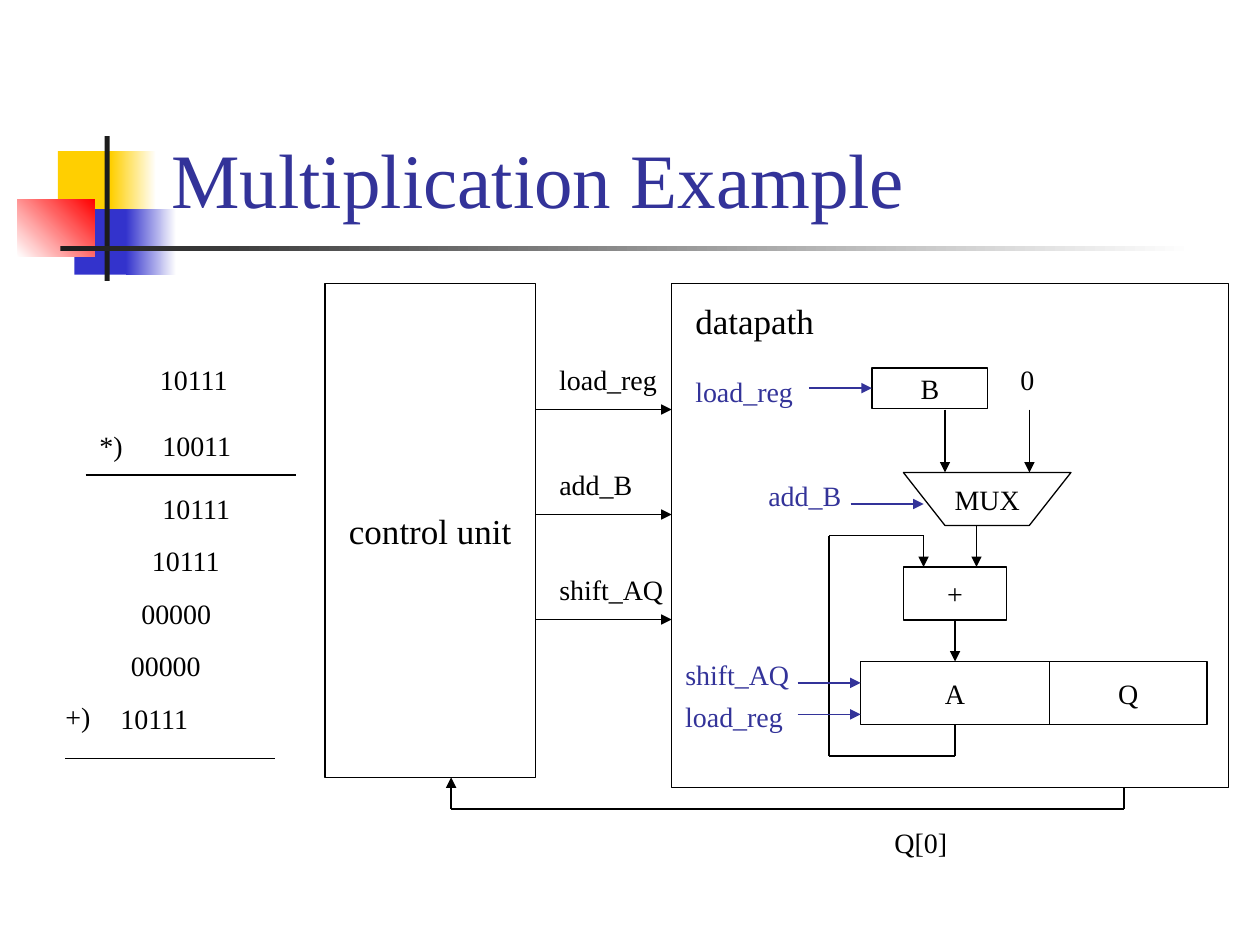
from itertools import pairwise
from pptx import Presentation
from pptx.dml.color import RGBColor
from pptx.enum.shapes import MSO_CONNECTOR as CONNECTOR, MSO_SHAPE as SHAPE
from pptx.enum.text import MSO_ANCHOR as ANCHOR, MSO_AUTO_SIZE as AUTO_SIZE, PP_ALIGN as ALIGN
from pptx.oxml.ns import qn
from pptx.util import Inches, Pt
from lxml import etree

THEME = {
    "font": "Times New Roman",
    "title_size": Pt(44), "block_size": Pt(20), "label_size": Pt(16),
    "line_width": Pt(0.75),
    "black": RGBColor.from_string("000000"),
    "signal": RGBColor.from_string("333399"),
    "yellow": RGBColor.from_string("FFCF01"),
    "blue": RGBColor.from_string("3333CC"),
    "red": RGBColor.from_string("FF0000"),
    "dark": RGBColor.from_string("1C1C1C"),
    "white": RGBColor.from_string("FFFFFF"),
}
TITLE_FORMAT = {"vertical_anchor": ANCHOR.BOTTOM, "word_wrap": True, "auto_size": AUTO_SIZE.NONE}
BLOCK_FORMAT = {"vertical_anchor": ANCHOR.MIDDLE, "word_wrap": False}
LABEL_FORMAT = {"vertical_anchor": ANCHOR.TOP, "word_wrap": False,
                "auto_size": AUTO_SIZE.NONE, "margin_right": 0}


def write_text(shape, text, frame_format, align, size, color):
    frame = shape.text_frame
    for name, value in frame_format.items():
        setattr(frame, name, value)
    paragraph = frame.paragraphs[0]
    paragraph.alignment = align
    run = paragraph.add_run()
    run.text = text
    font = run.font
    font.name, font.size, font.color.rgb = THEME["font"], THEME[size], THEME[color]


def draw_wire(points, color="black", arrow=True, start=None, finish=None):
    """Draw straight segments; start and finish are (shape, site) joints."""
    connectors = []
    for begin, end in pairwise(points):
        connector = slide.shapes.add_connector(
            CONNECTOR.STRAIGHT, *(Inches(value) for value in begin + end))
        connector.line.width = THEME["line_width"]
        connector.line.color.rgb = THEME[color]
        etree.SubElement(connector._element.spPr, qn("a:effectLst"))
        connectors.append(connector)
    if arrow:
        line = connectors[-1].line._get_or_add_ln()
        etree.SubElement(line, qn("a:tailEnd"), type="triangle")
    if start:
        connectors[0].begin_connect(*start)
    if finish:
        connectors[-1].end_connect(*finish)


presentation = Presentation()
presentation.slide_width, presentation.slide_height = Inches(10), Inches(7.5)
slide = presentation.slides.add_slide(presentation.slide_layouts[5])

# Corner decoration: one colour is solid, two make a gradient
for box, colors, angle in [
    ((0.46, 1.2, 0.48, 0.52), ["yellow"], 0),
    ((0.88, 1.2, 0.36, 0.52), ["yellow", "white"], 0),
    ((0.59, 1.66, 0.46, 0.52), ["blue"], 0),
    ((1, 1.66, 0.4, 0.52), ["blue", "white"], 0),
    ((0.14, 1.58, 0.61, 0.46), ["white", "red"], 45),
    ((0.83, 1.08, 0.04, 1.15), ["dark"], 0),
    ((0.48, 1.95, 9, 0.04), ["dark", "white"], 0),
]:
    shape = slide.shapes.add_shape(SHAPE.RECTANGLE, *map(Inches, box))
    shape.shadow.inherit = False
    shape.line.fill.background()
    if len(colors) == 1:
        shape.fill.solid()
        shape.fill.fore_color.rgb = THEME[colors[0]]
    else:
        shape.fill.gradient()
        shape.fill.gradient_angle = angle
        for stop, color in zip(shape.fill.gradient_stops, colors):
            stop.color.rgb = THEME[color]

# Title
title = slide.shapes.title
title.left, title.top, title.width, title.height = map(Inches, (1.26, 0.23, 8.52, 1.6))
write_text(title, "Multiplication Example", TITLE_FORMAT, ALIGN.LEFT, "title_size", "signal")

# Blocks of the control unit and the datapath
blocks = {}
for name, box, size in [
    ("datapath", (5.33, 2.25, 4.42, 4), None),
    ("control unit", (2.58, 2.25, 1.67, 3.92), "block_size"),
    ("A", (6.83, 5.25, 1.5, 0.5), "label_size"),
    ("Q", (8.33, 5.25, 1.25, 0.5), "label_size"),
    ("+", (7.17, 4.5, 0.82, 0.42), "label_size"),
    ("B", (6.92, 2.92, 0.92, 0.32), "label_size"),
]:
    blocks[name] = slide.shapes.add_shape(SHAPE.RECTANGLE, *map(Inches, box))
    if size:
        write_text(blocks[name], name, BLOCK_FORMAT, ALIGN.CENTER, size, "black")

# Multiplexer
corners = [(Inches(x), Inches(y)) for x, y in [(7.17, 3.75), (7.5, 4.17), (8.17, 4.17), (8.5, 3.75)]]
builder = slide.shapes.build_freeform(*corners[0])
builder.add_line_segments(corners[1:], close=True)
blocks["MUX"] = builder.convert_to_shape()
write_text(blocks["MUX"], "MUX", BLOCK_FORMAT, ALIGN.CENTER, "label_size", "black")

for shape in blocks.values():
    shape.shadow.inherit = False
    shape.fill.background()
    shape.line.color.rgb = THEME["black"]
    shape.line.width = THEME["line_width"]

# Labels: text, left, top, width, colour
labels = [
    ("10111", 1.17, 2.83, 0.75, "black"),
    ("10011", 1.19, 3.35, 0.75, "black"),
    ("*)", 0.69, 3.35, 0.38, "black"),
    ("+)", 0.42, 5.5, 0.4, "black"),
    ("0", 8, 2.83, 0.31, "black"),
    ("Q[0]", 7, 6.5, 0.62, "black"),
    ("load_reg", 5.42, 2.92, 0.97, "signal"),
    ("add_B", 6, 3.75, 0.78, "signal"),
    ("shift_AQ", 5.34, 5.17, 1.02, "signal"),
    ("load_reg", 5.34, 5.5, 0.97, "signal"),
]
# Partial products step down and to the left
for row, digits in enumerate(["10111", "10111", "00000", "00000", "10111"]):
    labels.append((digits, 1.19 - row / 12, 3.85 + row * 5 / 12, 0.75, "black"))

# Control signals between the two large blocks
for row, (signal, width) in enumerate([("load_reg", 0.97), ("add_B", 0.78), ("shift_AQ", 1.02)]):
    drop = row * 5 / 6
    labels.append((signal, 4.34, 2.83 + drop, width, "black"))
    draw_wire([(4.25, 3.25 + drop), (5.33, 3.25 + drop)])

for text, left, top, width, color in labels:
    label = slide.shapes.add_textbox(Inches(left), Inches(top), Inches(width), Inches(0.37))
    write_text(label, text, LABEL_FORMAT, ALIGN.LEFT, "label_size", color)

heading = slide.shapes.add_textbox(Inches(5.42), Inches(2.33), Inches(1.14), Inches(0.44))
write_text(heading, "datapath", LABEL_FORMAT, ALIGN.LEFT, "block_size", "black")

# Rules of the written multiplication
draw_wire([(0.68, 3.77), (2.35, 3.77)], arrow=False)
draw_wire([(0.52, 6.02), (2.18, 6.02)], arrow=False)

# Data wires
draw_wire([(7.5, 3.25), (7.5, 3.75)])
draw_wire([(8.17, 3.25), (8.17, 3.75)])
draw_wire([(7.75, 4.17), (7.75, 4.5)])
draw_wire([(7.58, 4.92), (7.58, 5.25)], start=(blocks["+"], 2), finish=(blocks["A"], 0))
draw_wire([(7.58, 5.75), (7.58, 6), (6.58, 6), (6.58, 4.25), (7.33, 4.25), (7.33, 4.5)],
          start=(blocks["A"], 2))
draw_wire([(8.92, 6.25), (8.92, 6.42), (3.58, 6.42), (3.58, 6.17)])

# Control wires inside the datapath
draw_wire([(6.42, 3.08), (6.92, 3.08)], "signal", finish=(blocks["B"], 1))
draw_wire([(6.75, 4), (7.33, 4)], "signal")
for wire_y in (5.42, 5.67):
    draw_wire([(6.33, wire_y), (6.83, wire_y)], "signal")

presentation.save("out.pptx")
